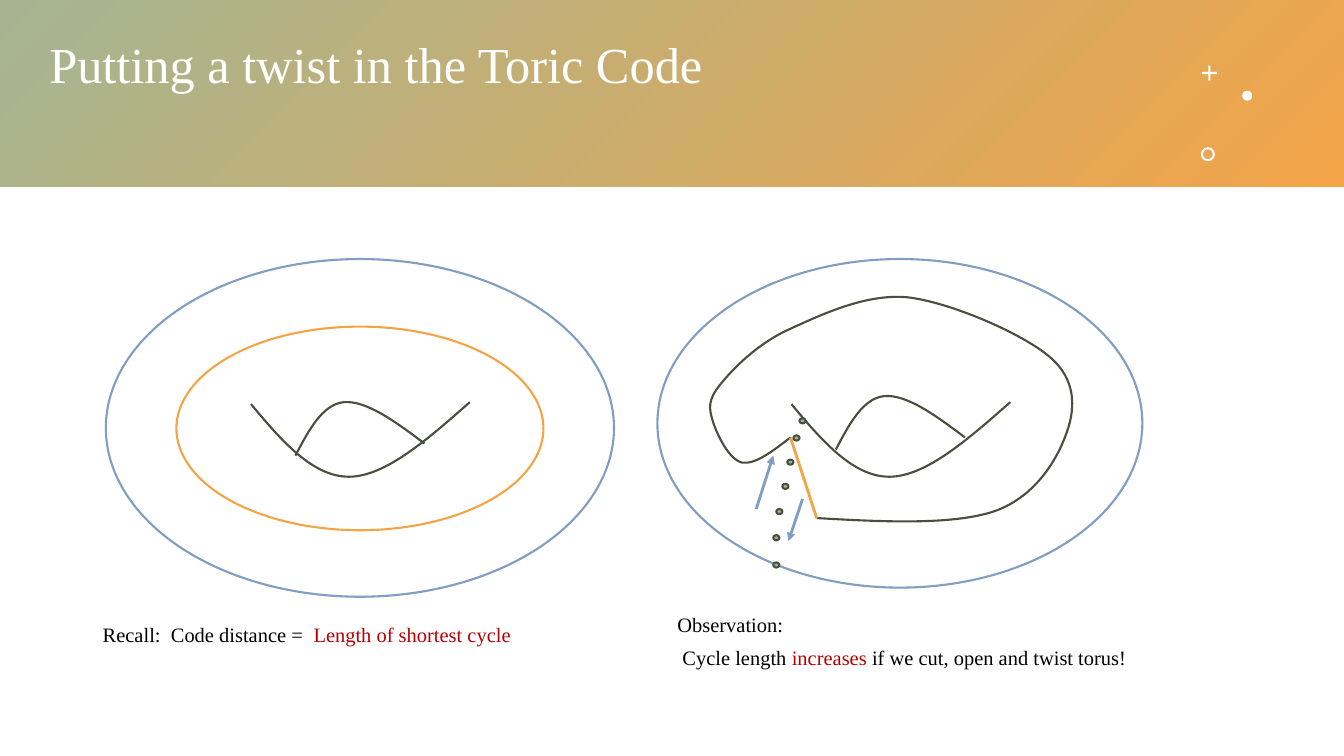
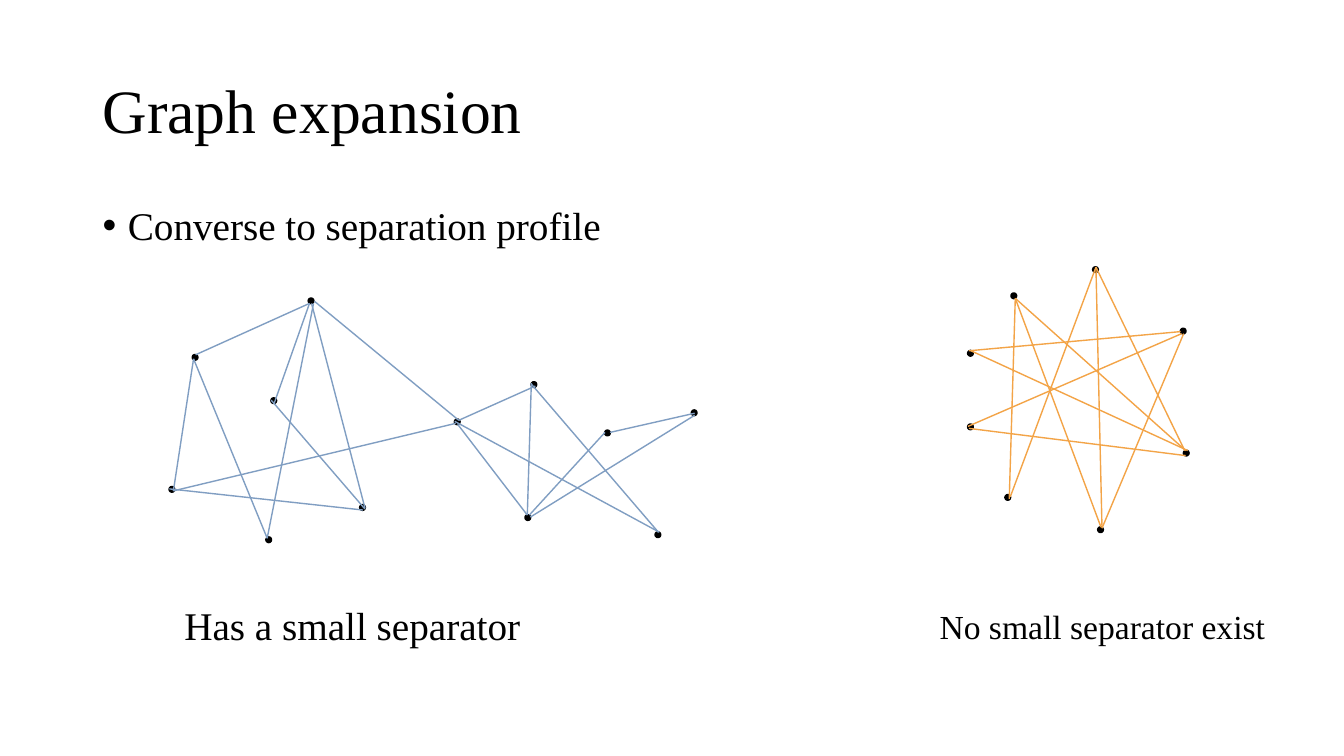
"""Build two slides on twisted toric codes and graph expansion."""
from pptx import Presentation
from pptx.dml.color import RGBColor
from pptx.enum.shapes import MSO_CONNECTOR, MSO_SHAPE
from pptx.enum.text import MSO_ANCHOR, MSO_AUTO_SIZE
from pptx.oxml.ns import qn
from pptx.util import Inches, Pt
from lxml.etree import SubElement

WHITE = RGBColor(0xFF, 0xFF, 0xFF)
BLACK = RGBColor(0x00, 0x00, 0x00)
SAGE = RGBColor(0xA5, 0xB5, 0x92)
ORANGE = RGBColor(0xF3, 0xA4, 0x47)
BLUE = RGBColor(0x80, 0x9E, 0xC2)
OLIVE = RGBColor(0x48, 0x4F, 0x40)
RED = RGBColor(0xB3, 0x00, 0x00)

FONT = "Times New Roman"
CAPTION_SIZE = 14.6
NODE = 0.05

HOLE_RIM = [(2.49, 4.01), (2.79, 4.37), (3.1, 4.73), (3.46, 4.73),
            (3.82, 4.73), (4.24, 4.36), (4.66, 3.99)]
HOLE_ARCH = [(2.93, 4.52), (3.06, 4.27), (3.2, 4.01), (3.41, 3.99),
             (3.63, 3.97), (3.92, 4.18), (4.21, 4.4)]
TWISTED_CYCLE = [
    (7.84, 4.34), (7.66, 4.48), (7.49, 4.61), (7.36, 4.59),
    (7.23, 4.56), (7.11, 4.31), (7.07, 4.18),
    (7.03, 4.05), (7.02, 3.97), (7.14, 3.82),
    (7.26, 3.67), (7.49, 3.43), (7.8, 3.28),
    (8.11, 3.14), (8.57, 2.91), (9, 2.95),
    (9.43, 3), (10.14, 3.31), (10.41, 3.54),
    (10.67, 3.76), (10.67, 4.04), (10.58, 4.29),
    (10.49, 4.55), (10.28, 4.92), (9.87, 5.07),
    (9.46, 5.21), (8.78, 5.18), (8.1, 5.14)]
CUT_MARKS = [(7.67, 5.31), (7.7, 5.05), (7.76, 4.8), (7.81, 4.56),
             (7.87, 4.32), (7.93, 4.15), (7.67, 5.58)]

SEPARABLE_NODES = [
    (1.91, 3.52), (3.06, 2.96), (1.68, 4.83), (2.69, 3.95),
    (2.64, 5.33), (3.57, 5.01), (4.51, 4.16), (5.27, 3.79),
    (5.21, 5.11), (6, 4.27), (6.86, 4.07), (6.5, 5.28)]
SEPARABLE_EDGES = [
    (1.72, 4.87, 1.92, 3.56), (1.94, 3.52, 3.07, 3.01),
    (3.07, 3.01, 2.72, 4), (1.92, 3.56, 2.65, 5.34),
    (1.68, 4.85, 3.6, 5.06), (1.72, 4.87, 4.52, 4.2),
    (2.69, 3.97, 3.62, 5.05), (3.09, 3.01, 3.62, 5.04),
    (4.55, 4.17, 3.12, 2.99), (2.65, 5.34, 3.11, 3.01),
    (4.51, 4.18, 6.54, 5.28), (5.23, 5.11, 4.54, 4.21),
    (4.55, 4.17, 5.31, 3.83), (5.23, 5.11, 5.27, 3.8),
    (5.25, 5.11, 6, 4.29), (6.05, 4.29, 6.89, 4.1),
    (5.27, 3.81, 6.53, 5.28), (5.26, 5.13, 6.89, 4.12)]
EXPANDER_NODES = [
    (10.03, 2.91), (9.6, 3.48), (9.6, 4.21), (9.97, 4.91),
    (10.84, 2.65), (11.71, 3.26), (11.74, 4.47), (10.89, 5.23)]
EXPANDER_EDGES = [
    (10.87, 2.65, 10.02, 4.93), (10.87, 2.65, 10.93, 5.24),
    (10.87, 2.65, 11.75, 4.47), (11.76, 4.47, 10.07, 2.96),
    (10.07, 2.96, 10.92, 5.23), (9.6, 4.23, 11.72, 3.31),
    (9.61, 4.25, 11.76, 4.52), (10.07, 2.96, 10.01, 4.95),
    (9.61, 3.48, 11.71, 3.29), (9.63, 3.48, 11.78, 4.47),
    (11.74, 3.31, 10.93, 5.24)]


def shifted(points, dx, dy):
    """Move every point by the same offset."""
    return [(x + dx, y + dy) for x, y in points]


class Deck:
    """Hold the shared style and the slide being drawn."""

    def __init__(self):
        """Start an empty widescreen presentation."""
        self.prs = Presentation()
        self.prs.slide_width = Inches(13.33)
        self.prs.slide_height = Inches(7.5)
        self.slide = None

    def new_slide(self):
        """Add a blank slide and make it current."""
        self.slide = self.prs.slides.add_slide(self.prs.slide_layouts[6])

    def shape(self, preset, box, fill, line=None, adjust=None):
        """Draw a preset shape with a flat fill and optional outline."""
        shape = self.slide.shapes.add_shape(preset, *map(Inches, box))
        shape.shadow.inherit = False
        shape.fill.solid()
        shape.fill.fore_color.rgb = fill
        if line is None:
            shape.line.fill.background()
        else:
            shape.line.color.rgb = line
            shape.line.width = Pt(1.5)
        if adjust is not None:
            shape.adjustments[0] = adjust
        return shape

    def band(self, height):
        """Draw the gradient band across the top."""
        band = self.shape(MSO_SHAPE.RECTANGLE, (0, 0, 13.33, height), SAGE)
        band.fill.gradient()
        band.fill.gradient_angle = 315
        for stop, colour in zip(band.fill.gradient_stops, (SAGE, ORANGE)):
            stop.color.rgb = colour

    def ornaments(self):
        """Draw the plus, dot and ring at the right of the band."""
        self.shape(MSO_SHAPE.CROSS, (11.92, 0.65, 0.15, 0.15), WHITE,
                   adjust=0.43)
        self.shape(MSO_SHAPE.OVAL, (12.32, 0.9, 0.1, 0.1), WHITE)
        self.shape(MSO_SHAPE.DONUT, (11.91, 1.46, 0.14, 0.14), WHITE,
                   adjust=0.15)

    def ellipse(self, box, fill, line):
        """Draw an outlined ellipse."""
        self.shape(MSO_SHAPE.OVAL, box, fill, line)

    def curve(self, controls):
        """Draw an open chain of cubic curves that share end points."""
        points = [(Inches(x), Inches(y)) for x, y in controls]
        builder = self.slide.shapes.build_freeform(*points[0])
        builder.add_line_segments(points[1:], close=False)
        outline = builder.convert_to_shape()
        segments = list(outline._element.iter(qn("a:lnTo")))
        trace = segments[0].getparent()
        for first in range(0, len(segments), 3):
            cubic = SubElement(trace, qn("a:cubicBezTo"))
            for segment in segments[first:first + 3]:
                cubic.append(segment[0])
                trace.remove(segment)
        outline.shadow.inherit = False
        outline.fill.background()
        outline.line.color.rgb = OLIVE
        outline.line.width = Pt(1.5)

    def hole(self, dx=0, arch_dy=0):
        """Draw the two curves that mark the hole of a torus."""
        self.curve(shifted(HOLE_RIM, dx, 0))
        self.curve(shifted(HOLE_ARCH, dx, arch_dy))

    def line(self, ends, colour, width, arrow=False):
        """Draw a straight line, with an arrowhead at its end if asked."""
        line = self.slide.shapes.add_connector(
            MSO_CONNECTOR.STRAIGHT, *map(Inches, ends))
        line.line.color.rgb = colour
        line.line.width = Pt(width)
        if arrow:
            SubElement(line.line._get_or_add_ln(), qn("a:tailEnd"),
                       type="triangle")
        SubElement(line._element.spPr, qn("a:effectLst"))

    def graph(self, nodes, edges, colour):
        """Draw black nodes and the coloured edges between them."""
        for x, y in nodes:
            self.ellipse((x, y, NODE, NODE), BLACK, BLACK)
        for ends in edges:
            self.line(ends, colour, 1)

    def text(self, box, paragraphs, size, colour=BLACK, after=0, spacing=None,
             anchor=MSO_ANCHOR.TOP, bullet=False, grow=True):
        """Write paragraphs, each a list of (words, colour) runs."""
        frame = self.slide.shapes.add_textbox(*map(Inches, box)).text_frame
        frame.word_wrap = True
        frame.vertical_anchor = anchor
        if grow:
            frame.auto_size = MSO_AUTO_SIZE.SHAPE_TO_FIT_TEXT
        for index, runs in enumerate(paragraphs):
            paragraph = frame.paragraphs[0] if index == 0 else frame.add_paragraph()
            if after:
                paragraph.space_after = Pt(after)
            if spacing:
                paragraph.line_spacing = spacing
            if bullet:
                properties = paragraph._p.get_or_add_pPr()
                properties.set("marL", str(Inches(0.25)))
                properties.set("indent", str(Inches(-0.25)))
                SubElement(properties, qn("a:buFont"), typeface="Arial")
                SubElement(properties, qn("a:buChar"), char="•")
            paragraph.font.name = FONT
            paragraph.font.size = Pt(size)
            for words, accent in runs:
                run = paragraph.add_run()
                run.text = words
                run.font.color.rgb = accent or colour

    def title(self, words, box, size, colour):
        """Write the slide title."""
        self.text(box, [[(words, None)]], size, colour, spacing=0.9,
                  anchor=MSO_ANCHOR.MIDDLE, grow=False)


def toric_slide(deck):
    """Compare the plain torus with the cut and twisted one."""
    deck.new_slide()
    deck.band(1.85)
    deck.title("Putting a twist in the Toric Code", (0.39, 0.07, 10.75, 1.19),
               36, WHITE)
    deck.ornaments()

    deck.ellipse((1.05, 2.57, 5.04, 3.35), WHITE, BLUE)
    deck.ellipse((1.75, 3.24, 3.64, 2.02), WHITE, ORANGE)
    deck.hole()

    deck.ellipse((6.52, 2.57, 4.81, 3.26), WHITE, BLUE)
    deck.hole(dx=5.36, arch_dy=-0.06)
    deck.curve(TWISTED_CYCLE)
    deck.line((*TWISTED_CYCLE[0], *TWISTED_CYCLE[-1]), ORANGE, 2)
    for x, y in CUT_MARKS:
        deck.ellipse((x, y, 0.06, 0.05), SAGE, OLIVE)
    deck.line((7.5, 5.05, 7.67, 4.52), BLUE, 2, arrow=True)
    deck.line((7.96, 4.95, 7.82, 5.37), BLUE, 2, arrow=True)

    deck.text((0.92, 6.12, 4.81, 0.35),
              [[("Recall:  Code distance =  ", None),
                ("Length of shortest cycle", RED)]],
              CAPTION_SIZE, after=6)
    deck.text((6.62, 6.02, 5.8, 0.68),
              [[("Observation:", None)],
               [(" Cycle length ", None), ("increases", RED),
                (" if we cut, open and twist torus!", None)]],
              CAPTION_SIZE, after=6)


def expansion_slide(deck):
    """Contrast a separable graph with an expander."""
    deck.new_slide()
    deck.title("Graph expansion", (0.92, 0.4, 11.5, 1.45), 44, BLACK)
    deck.text((0.92, 2, 11.5, 4.76),
              [[("Converse to separation profile", None)]],
              28, spacing=0.9, bullet=True, grow=False)
    deck.graph(SEPARABLE_NODES, SEPARABLE_EDGES, BLUE)
    deck.graph(EXPANDER_NODES, EXPANDER_EDGES, ORANGE)
    deck.text((1.73, 5.92, 5.06, 0.57), [[("Has a small separator", None)]], 28)
    deck.text((9.22, 5.96, 4, 0.5), [[("No small separator exist", None)]], 24)


def main():
    """Build and save the deck."""
    deck = Deck()
    toric_slide(deck)
    expansion_slide(deck)
    deck.prs.save("out.pptx")


if __name__ == "__main__":
    main()
